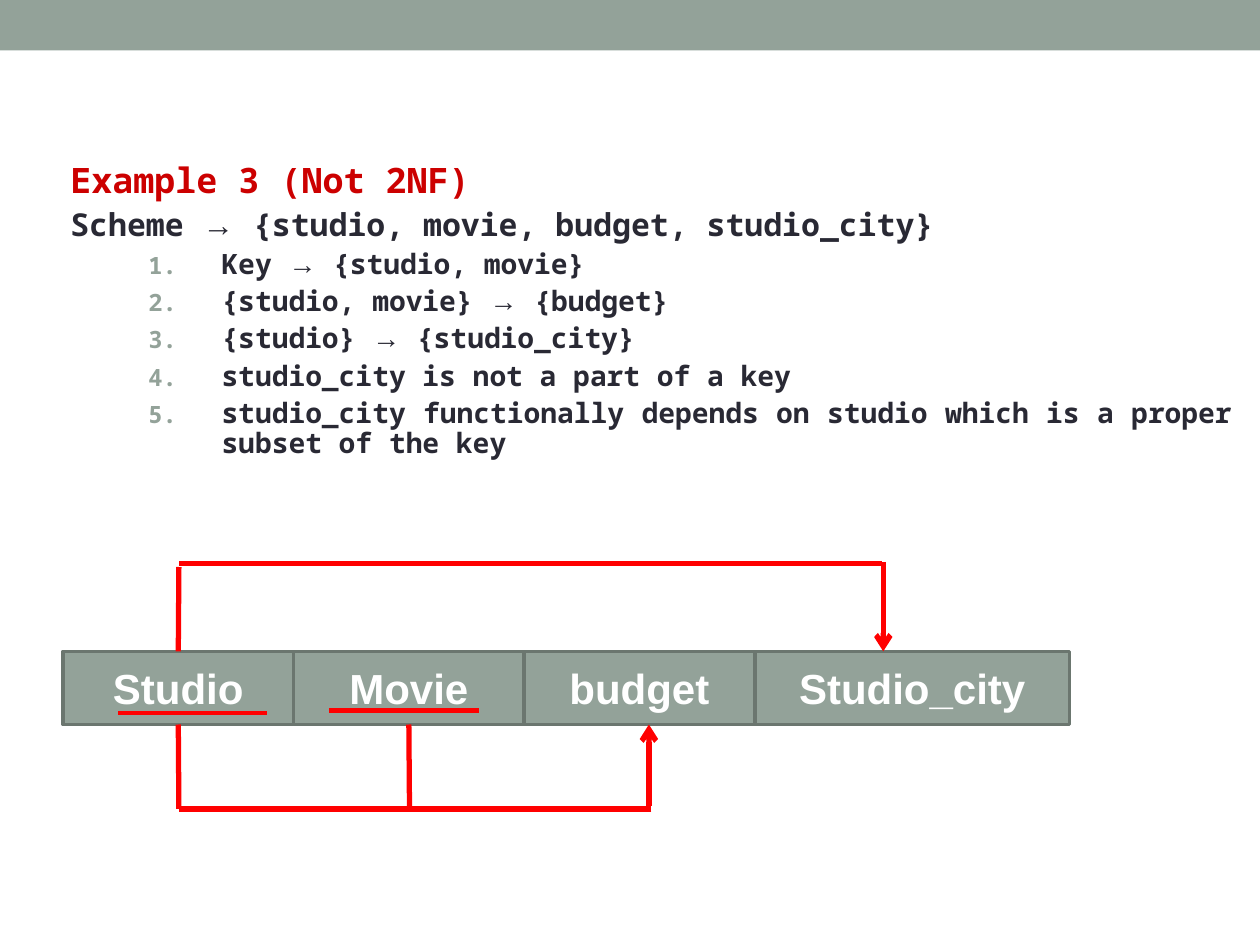
from dataclasses import dataclass

from lxml.etree import SubElement
from pptx import Presentation
from pptx.dml.color import RGBColor as RGB
from pptx.enum.shapes import MSO_CONNECTOR as CONN, MSO_SHAPE as SHAPE
from pptx.enum.text import MSO_ANCHOR as ANCHOR, PP_ALIGN as ALIGN
from pptx.oxml.ns import qn
from pptx.util import Inches, Pt


@dataclass(frozen=True)
class Theme:
    """Colours, fonts and type sizes of the slide."""
    sage: str = "93A299"
    edge: str = "6B766F"
    red: str = "FF0000"
    heading: str = "CC0000"
    ink: str = "292934"
    white: str = "FFFFFF"
    mono: str = "Noto Sans Mono"
    sans: str = "Arial"
    heading_size: int = 20
    scheme_size: int = 18
    item_size: int = 16
    field_size: int = 24


T = Theme()
ITEMS = [
    "Key → {studio, movie}",
    "{studio, movie} → {budget}",
    "{studio} → {studio_city}",
    "studio_city is not a part of a key",
    "studio_city functionally depends on studio which is a proper subset of the key",
]
FIELDS = [("Studio", 1.83), ("Movie", 1.83), ("budget", 1.83), ("Studio_city", 2.5)]
ROW_LEFT, ROW_TOP, ROW_HEIGHT = 0.5, 5.17, 0.58
ROW_BOTTOM = ROW_TOP + ROW_HEIGHT


def add_text(p, text, *, size, color, font=T.mono, align=ALIGN.JUSTIFY, before=0, spacing=0.9):
    """Fill a paragraph with bold text, setting arrows in the sans font."""
    p.alignment, p.line_spacing, p.space_before = align, spacing, Pt(before)
    for i, part in enumerate(text.partition("→")):
        if part:
            r = p.add_run()
            r.text = part
            r.font.name = T.sans if i == 1 else font
            r.font.size, r.font.bold = Pt(size), True
            r.font.color.rgb = RGB.from_string(color)


def set_indent(p, left, hanging, numbered=False):
    """Give a paragraph a hanging indent and, if asked, a coloured number."""
    pPr = p._p.get_or_add_pPr()
    pPr.set("marL", str(Inches(left)))
    pPr.set("indent", str(-Inches(hanging)))
    if numbered:
        p.level = 1
        SubElement(SubElement(pPr, qn("a:buClr")), qn("a:srgbClr"), val=T.sage)
        SubElement(pPr, qn("a:buSzPct"), val="85000")
        SubElement(pPr, qn("a:buAutoNum"), type="arabicPeriod")


def add_rect(s, x, y, w, h, line=None):
    """Add a sage rectangle, outlined if a line colour is given."""
    sp = s.shapes.add_shape(SHAPE.RECTANGLE, Inches(x), Inches(y), Inches(w), Inches(h))
    sp.shadow.inherit = False
    sp.fill.solid()
    sp.fill.fore_color.rgb = RGB.from_string(T.sage)
    if line:
        sp.line.color.rgb = RGB.from_string(line)
        sp.line.width = Pt(2.07)
    else:
        sp.line.fill.background()
    return sp


def add_line(s, x1, y1, x2, y2, width=3, arrow=False):
    """Add a red straight connector, with an arrowhead at its end if asked."""
    c = s.shapes.add_connector(CONN.STRAIGHT, Inches(x1), Inches(y1), Inches(x2), Inches(y2))
    c.line.color.rgb = RGB.from_string(T.red)
    c.line.width = Pt(width)
    if arrow:
        SubElement(c.line._get_or_add_ln(), qn("a:tailEnd"), type="arrow")
    SubElement(c._element.spPr, qn("a:effectLst"))
    return c


def add_body(s):
    """Add the heading, the scheme and the numbered list."""
    tf = s.shapes.add_textbox(Inches(0.46), Inches(1.25), Inches(9.42), Inches(5.17)).text_frame
    tf.word_wrap = True
    p = tf.paragraphs[0]
    set_indent(p, 0.67, 0.67)
    add_text(p, "Example 3 (Not 2NF)", size=T.heading_size, color=T.heading)
    p = tf.add_paragraph()
    set_indent(p, 0.67, 0.67)
    add_text(p, "Scheme → {studio, movie, budget, studio_city}",
             size=T.scheme_size, color=T.ink, before=4.5)
    for item in ITEMS:
        p = tf.add_paragraph()
        set_indent(p, 1.2, 0.58, numbered=True)
        add_text(p, item, size=T.item_size, color=T.ink, before=4)


def add_fields(s):
    """Add the row of field boxes and return them."""
    boxes, x = [], ROW_LEFT
    for name, width in FIELDS:
        sp = add_rect(s, x, ROW_TOP, width, ROW_HEIGHT, line=T.edge)
        tf = sp.text_frame
        tf.word_wrap, tf.vertical_anchor = True, ANCHOR.MIDDLE
        add_text(tf.paragraphs[0], name, size=T.field_size, color=T.white,
                 font=T.sans, align=ALIGN.CENTER, spacing=1.0)
        boxes.append(sp)
        x += width
    return boxes


def add_dependencies(s, studio, movie):
    """Underline the key and draw both functional dependencies."""
    add_line(s, 2.61, 5.64, 3.8, 5.64, width=2.5)
    add_line(s, 0.94, 5.66, 2.12, 5.66, width=2.5)

    add_line(s, 5.17, 6.42, 1.42, 6.42)
    add_line(s, 5.15, 6.4, 5.15, ROW_BOTTOM, arrow=True)
    for box, x in ((studio, 1.42), (movie, 3.25)):
        add_line(s, x, ROW_BOTTOM, x, 6.42).begin_connect(box, 2)

    add_line(s, 7.01, 4.46, 7.01, ROW_TOP, arrow=True)
    add_line(s, 7, 4.47, 1.42, 4.47)
    add_line(s, 1.42, 4.5, 1.42, ROW_TOP).end_connect(studio, 0)


def main():
    """Build the slide and save it."""
    prs = Presentation()
    prs.slide_width, prs.slide_height = Inches(10), Inches(7.5)
    s = prs.slides.add_slide(prs.slide_layouts[6])
    add_rect(s, 0, 0, 10, 0.4)
    add_body(s)
    studio, movie, *_ = add_fields(s)
    add_dependencies(s, studio, movie)
    prs.save("out.pptx")


if __name__ == "__main__":
    main()
